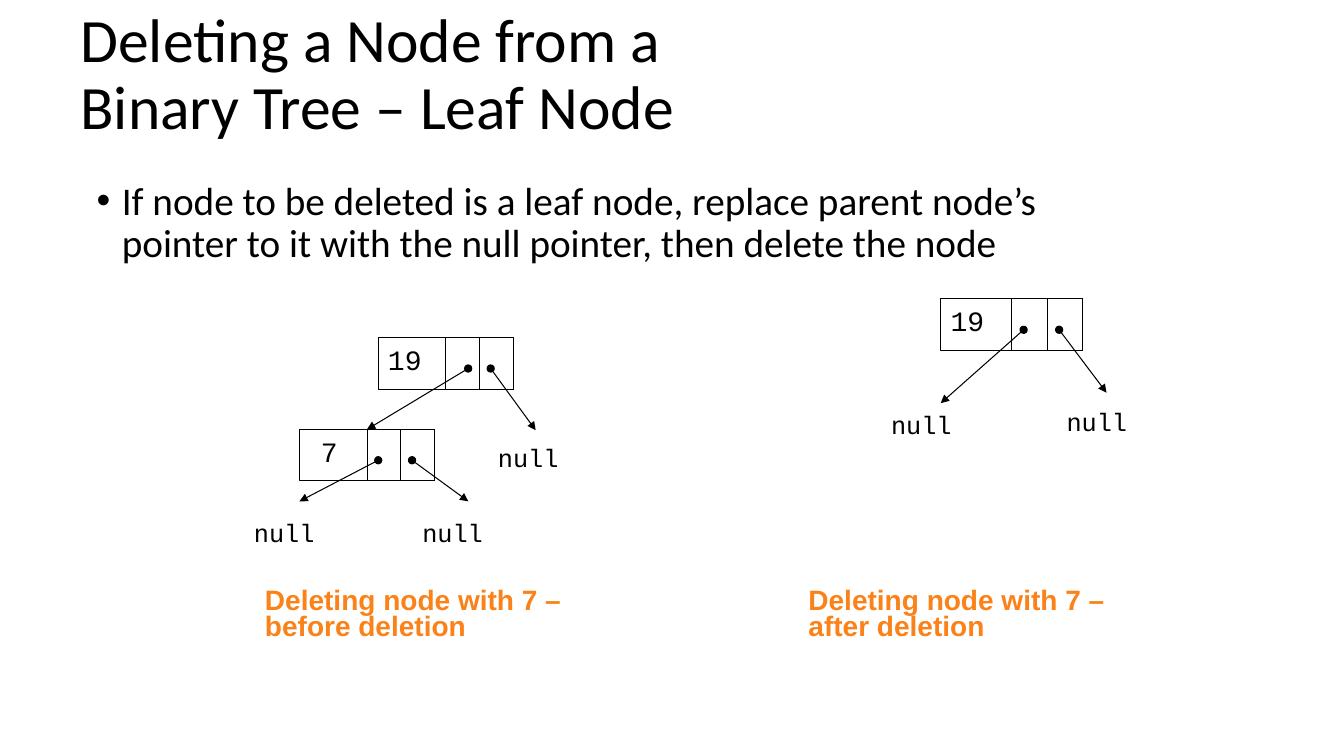
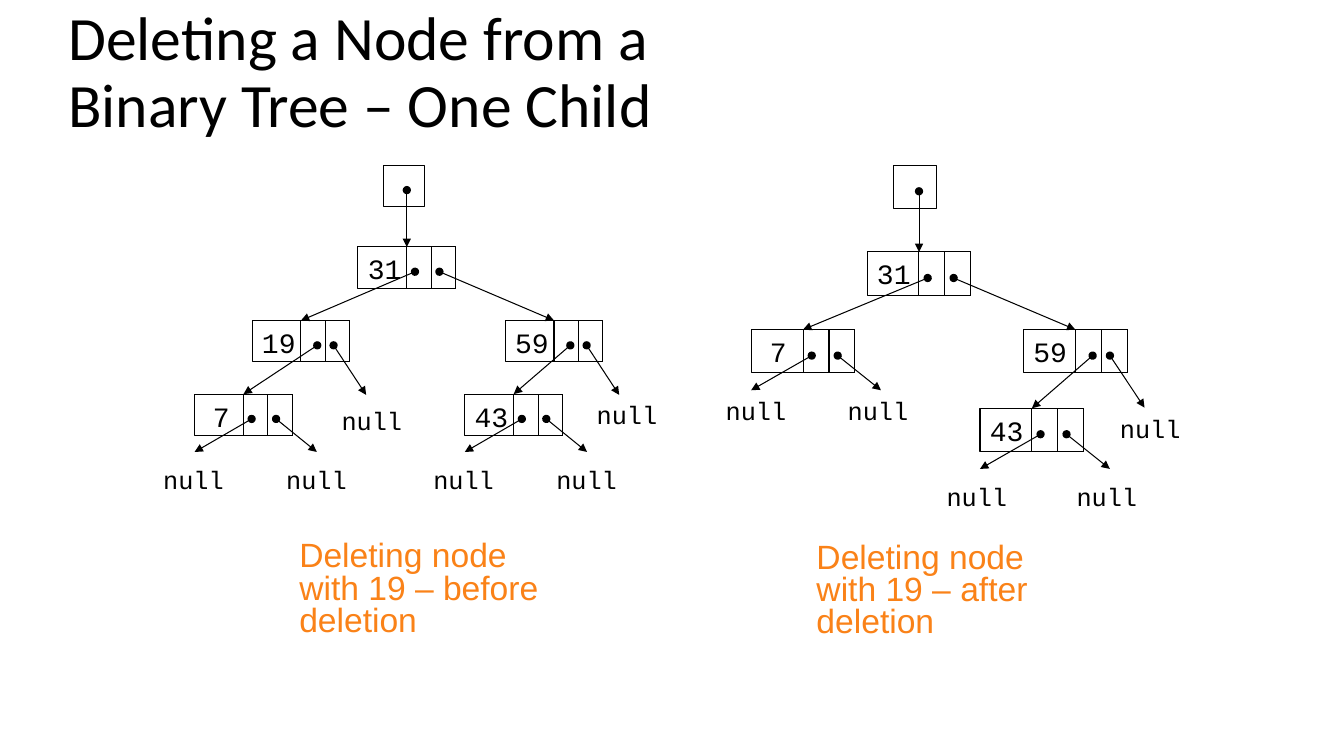
from collections import namedtuple

from lxml import etree
from pptx import Presentation
from pptx.dml.color import RGBColor
from pptx.enum import shapes, text
from pptx.oxml.ns import qn
from pptx.util import Inches, Pt

BLACK = RGBColor(0x00, 0x00, 0x00)
ORANGE = RGBColor(0xFA, 0x82, 0x18)
TITLE_FONT, CODE_FONT, CAPTION_FONT = "Calibri", "Courier New", "Arial"

# Positions inside a node, as shares of its width or height
DOT_Y = 0.6
NEAR_DOT, FAR_DOT, RIGHT_DOT = 7 / 12, 2 / 3, 5 / 6
LEFT_TIP, LONG_LEFT_TIP = (0, 1.4), (0, 2)
RIGHT_TIP, LONG_RIGHT_TIP = (1.25, 1.4), (7 / 6, 1.8)

# A link is the value of a child node, or a Null with its arrow tip and label
Null = namedtuple("Null", "tip label_at")
Node = namedtuple("Node", "value at left_dot left right")
Tree = namedtuple("Tree", "node_size root_box nodes caption caption_box")


def leaf(value, at, left_label, right_label):
    return Node(value, at, NEAR_DOT, Null(LEFT_TIP, left_label),
                Null(RIGHT_TIP, right_label))


# Content
SLIDES = [
    {
        "title": ["Deleting a Node from a ", "Binary Tree – Leaf Node"],
        "title_at": (0.7, 0.03),
        "bullet": "If node to be deleted is a leaf node, replace parent node’s "
                  "pointer to it with the null pointer, then delete the node",
        "caption_size": 20,
        "caption_bold": True,
        "trees": [
            Tree((1.34, 0.51), None, [
                Node("19", (3.75, 3.35), FAR_DOT, "7",
                     Null(LONG_RIGHT_TIP, (4.84, 4.34))),
                leaf("7", (2.97, 4.26), (2.42, 5.08), (4.09, 5.08)),
            ], "Deleting node with 7 – before deletion", (2.53, 5.79, 3.47, 0.64)),
            Tree((1.41, 0.52), None, [
                Node("19", (9.33, 2.96), NEAR_DOT,
                     Null(LONG_LEFT_TIP, (8.74, 4.01)),
                     Null(LONG_RIGHT_TIP, (10.48, 3.98))),
            ], "Deleting node with 7 – after deletion", (7.92, 5.79, 3.66, 0.64)),
        ],
    },
    {
        "title": ["Deleting a Node from a ", "Binary Tree – One Child"],
        "title_at": (0.58, 0.01),
        "bullet": None,
        "caption_size": 24,
        "caption_bold": False,
        "trees": [
            Tree((0.97, 0.41), (3.8, 1.64), [
                Node("31", (3.55, 2.45), NEAR_DOT, "19", "59"),
                Node("59", (5.01, 3.18), FAR_DOT, "43",
                     Null(LONG_RIGHT_TIP, (5.82, 3.91))),
                Node("19", (2.5, 3.18), FAR_DOT, "7",
                     Null(LONG_RIGHT_TIP, (3.29, 3.97))),
                leaf("7", (1.93, 3.91), (1.52, 4.56), (2.74, 4.56)),
                leaf("43", (4.61, 3.91), (4.2, 4.56), (5.42, 4.56)),
            ], "Deleting node with 19 – before deletion", (2.87, 5.33, 2.77, 1.07)),
            Tree((1.03, 0.43), (8.86, 1.64), [
                Node("31", (8.6, 2.5), NEAR_DOT, "7", "59"),
                Node("59", (10.15, 3.27), FAR_DOT, "43",
                     Null(LONG_RIGHT_TIP, (11.01, 4.05))),
                leaf("7", (7.45, 3.27), (7.1, 3.87), (8.31, 3.87)),
                leaf("43", (9.72, 4.05), (9.29, 4.73), (10.58, 4.73)),
            ], "Deleting node with 19 – after deletion", (8, 5.34, 2.77, 1.07)),
        ],
    },
]


def add_text(parent, box, lines, font, size, color=BLACK, bold=False, spacing=None):
    """Add a wrapping text box and return it with its paragraph."""
    shape = parent.add_textbox(*map(Inches, box))
    shape.text_frame.word_wrap = True
    paragraph = shape.text_frame.paragraphs[0]
    paragraph.line_spacing = spacing
    for index, line in enumerate(lines):
        if index:
            paragraph.add_line_break()
        add_run(paragraph, line, font, size, color, bold)
    return shape, paragraph


def add_run(paragraph, words, font, size, color=BLACK, bold=False):
    run = paragraph.add_run()
    run.text = words
    run.font.name, run.font.size, run.font.bold = font, Pt(size), bold
    run.font.color.rgb = color


def add_box(parent, left, top, width, height):
    box = parent.add_shape(shapes.MSO_SHAPE.RECTANGLE,
                           *map(Inches, (left, top, width, height)))
    box.shadow.inherit = False
    box.fill.background()
    box.line.color.rgb, box.line.width = BLACK, Pt(0.75)
    return box


def add_pointer(parent, start, end, target=None):
    """Draw a dot-to-arrowhead line, joined to the top of a target box."""
    pointer = parent.add_connector(shapes.MSO_CONNECTOR.STRAIGHT,
                                   *map(Inches, (*start, *end)))
    if target is not None:
        pointer.end_connect(target, 0)
    pointer.line.color.rgb, pointer.line.width = BLACK, Pt(0.75)
    properties = pointer._element.spPr
    line = properties.find(qn("a:ln"))
    for tag, kind in (("a:headEnd", "oval"), ("a:tailEnd", "triangle")):
        etree.SubElement(line, qn(tag)).set("type", kind)
    etree.SubElement(properties, qn("a:effectLst"))


def add_node(parent, node, size):
    """Draw a value cell and two pointer cells; return the outer box."""
    (left, top), (width, height) = node.at, size
    outer = add_box(parent, left, top, width, height)
    frame = outer.text_frame
    frame.word_wrap = True
    frame.vertical_anchor = text.MSO_ANCHOR.TOP
    frame.margin_left = Inches(0.1 if len(node.value) > 1 else 0.1 + width / 12)
    paragraph = frame.paragraphs[0]
    paragraph.alignment = text.PP_ALIGN.LEFT
    add_run(paragraph, node.value, CODE_FONT, 20)
    for quarter in (2, 3):
        add_box(parent, left + quarter * width / 4, top, width / 4, height)
    return outer


def add_tree(slide, tree):
    parent = slide.shapes.add_group_shape().shapes
    width, height = tree.node_size
    places = {node.value: node.at for node in tree.nodes}
    boxes = {node.value: add_node(parent, node, tree.node_size)
             for node in tree.nodes}

    def point_to(value, start):
        left, top = places[value]
        add_pointer(parent, start, (left + width / 2, top), boxes[value])

    # Root pointer, straight down to the first node
    if tree.root_box:
        left, top = tree.root_box
        add_box(parent, left, top, height, height)
        first = tree.nodes[0]
        point_to(first.value, (first.at[0] + width / 2, top + DOT_Y * height))

    # Child and null pointers
    for node in tree.nodes:
        left, top = node.at
        for dot, link in ((node.left_dot, node.left), (RIGHT_DOT, node.right)):
            start = (left + dot * width, top + DOT_Y * height)
            if isinstance(link, Null):
                tip_x, tip_y = link.tip
                add_pointer(parent, start,
                            (left + tip_x * width, top + tip_y * height))
                add_text(parent, (*link.label_at, 0.87, 0.44), ["null"],
                         CODE_FONT, 18)
            else:
                point_to(link, start)


def add_bullet(slide, words):
    paragraph = add_text(slide.shapes, (0.86, 1.75, 10.39, 1), [words],
                         TITLE_FONT, 28, spacing=0.9)[1]
    paragraph.space_before = Pt(10)
    properties = paragraph._p.get_or_add_pPr()
    properties.set("marL", str(Inches(0.25)))
    properties.set("indent", str(Inches(-0.25)))
    etree.SubElement(properties, qn("a:buFont")).set("typeface", "Arial")
    etree.SubElement(properties, qn("a:buChar")).set("char", "•")


def main():
    presentation = Presentation()
    presentation.slide_width = Inches(13.33)
    presentation.slide_height = Inches(7.5)
    for content in SLIDES:
        slide = presentation.slides.add_slide(presentation.slide_layouts[6])
        title = add_text(slide.shapes, (*content["title_at"], 11.5, 1.45),
                         content["title"], TITLE_FONT, 44, spacing=0.9)[0]
        title.text_frame.vertical_anchor = text.MSO_ANCHOR.MIDDLE
        if content["bullet"]:
            add_bullet(slide, content["bullet"])
        for tree in content["trees"]:
            add_tree(slide, tree)
            add_text(slide.shapes, tree.caption_box, [tree.caption], CAPTION_FONT,
                     content["caption_size"], ORANGE, content["caption_bold"], 0.8)
    presentation.save("out.pptx")


if __name__ == "__main__":
    main()
